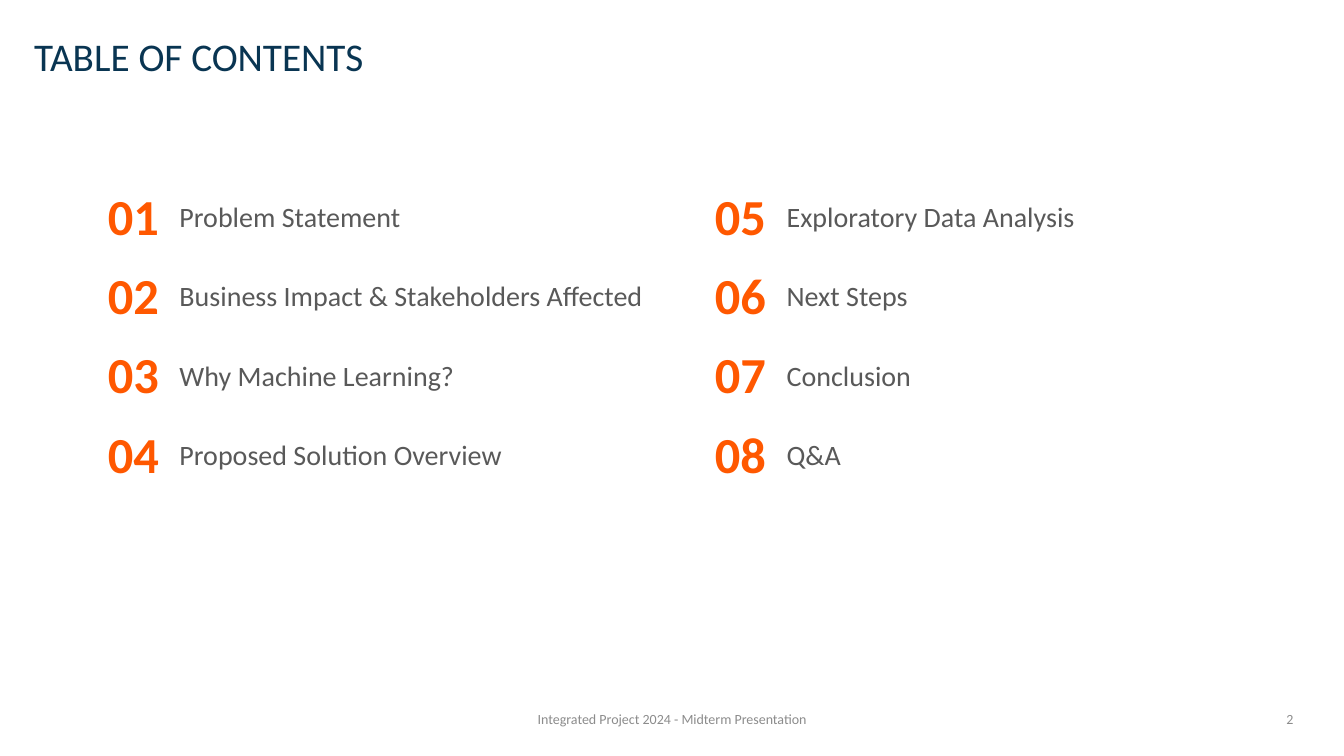
from dataclasses import dataclass

from lxml import etree
from pptx import Presentation
from pptx import util as u
from pptx.dml.color import RGBColor
from pptx.enum import text
from pptx.oxml import ns

Pt = u.Pt


@dataclass(frozen=True)
class Theme:
    font: str = "Calibri"
    navy: str = "093552"
    orange: str = "FF5800"
    gray: str = "595959"
    pale: str = "8C8C8C"
    white: str = "FFFFFF"
    head: int = 28
    num: int = 36
    body: int = 20
    foot: int = 10


T = Theme()
ALIGN = text.PP_ALIGN
MID = text.MSO_ANCHOR.MIDDLE
TOPICS = [
    "Problem Statement",
    "Business Impact & Stakeholders Affected",
    "Why Machine Learning?",
    "Proposed Solution Overview",
    "Exploratory Data Analysis",
    "Next Steps",
    "Conclusion",
    "Q&A",
]


def style(frame, size, color, bold=False):
    for run in frame.paragraphs[0].runs:
        font = run.font
        font.name, font.size, font.bold = T.font, Pt(size), bold
        font.color.rgb = RGBColor.from_string(color)


def label(slide, box, words, size, color, align=ALIGN.LEFT, space=1.0):
    frame = slide.shapes.add_textbox(*map(Pt, box)).text_frame
    frame.word_wrap = True
    frame.vertical_anchor = MID
    frame.text = words
    para = frame.paragraphs[0]
    para.alignment, para.line_spacing = align, space
    style(frame, size, color)


def border(cell, base):
    props = cell._tc.get_or_add_tcPr()
    for spot, side in enumerate("LRTB"):
        line = etree.Element(ns.qn(f"a:ln{side}"))
        line.set("w", str(Pt(base if side == "B" else 1)))
        fill = etree.SubElement(line, ns.qn("a:solidFill"))
        etree.SubElement(fill, ns.qn("a:srgbClr")).set("val", T.white)
        props.insert(spot, line)


def agenda(slide, box, topics, rows=5, slim=51.2):
    left, top, width, height = box
    deep = rows - 1
    table = slide.shapes.add_table(rows, 4, *map(Pt, box)).table
    table.first_row = table.horz_banding = False
    for i, col in enumerate(table.columns):
        col.width = Pt(width / 2 - slim if i % 2 else slim)
    for row in table.rows:
        row.height = Pt(height / rows)
    for i, topic in enumerate(topics):
        half, r = divmod(i, deep)
        num, name = table.cell(r, half * 2), table.cell(r, half * 2 + 1)
        num.text, name.text = f"{i + 1:02}", topic
        style(num.text_frame, T.num, T.orange, True)
        style(name.text_frame, T.body, T.gray)
    for r in range(rows):
        for c in range(4):
            cell = table.cell(r, c)
            cell.vertical_anchor = MID
            cell.fill.background()
            border(cell, 1 if r else 3)


def footer(slide, box, words, page):
    left, top, width, height = box
    label(slide, (left + 273, top, 379.5, height), words,
          T.foot, T.pale, ALIGN.CENTER)
    label(slide, (left + width - 224, top, 224, height), page,
          T.foot, T.pale, ALIGN.RIGHT)


def contents(deck):
    slide = deck.slides.add_slide(deck.slide_layouts[6])
    label(slide, (17.3, 19.4, 912.2, 44.6), "TABLE OF CONTENTS",
          T.head, T.navy, space=0.9)
    agenda(slide, (69.8, 127.4, 867.4, 283.5), TOPICS)
    footer(slide, (17.3, 499, 913.7, 28.8),
           "Integrated Project 2024 - Midterm Presentation", "2")


def main():
    deck = Presentation()
    deck.slide_width, deck.slide_height = Pt(960), Pt(540)
    contents(deck)
    deck.save("out.pptx")


if __name__ == "__main__":
    main()
